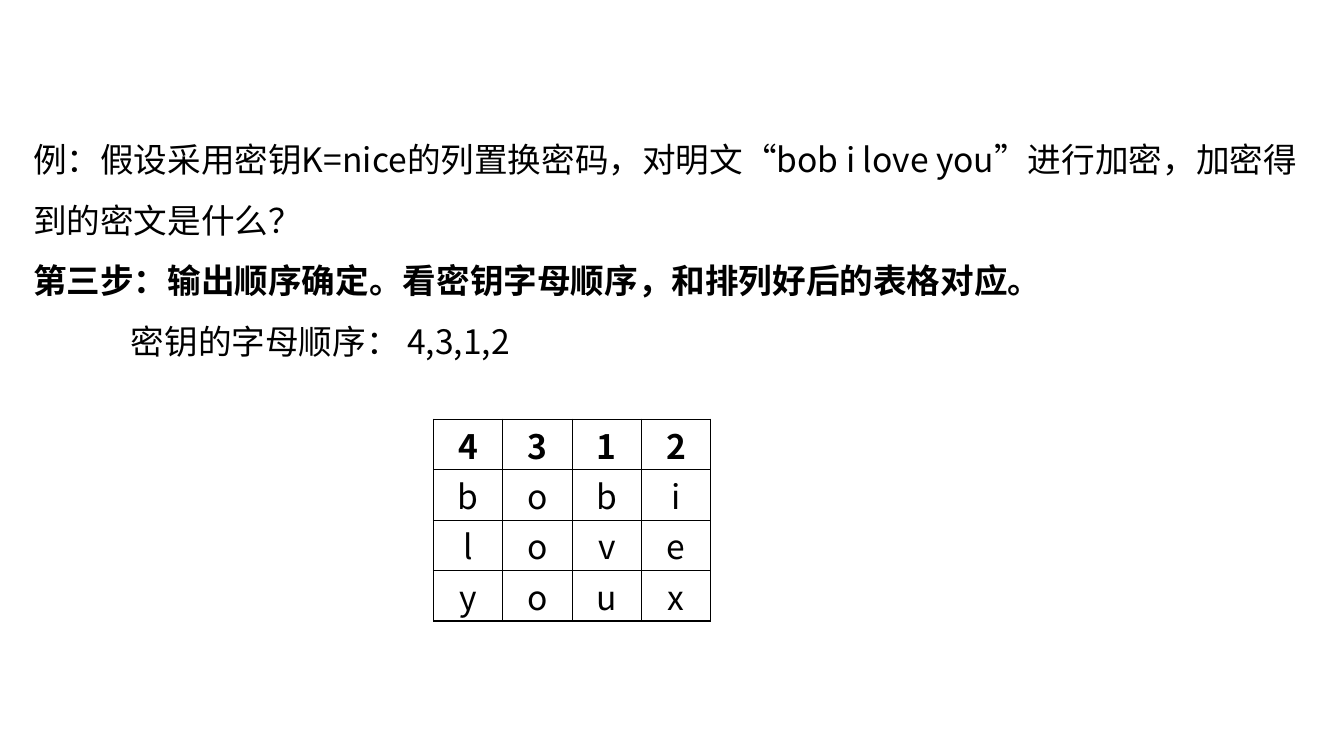
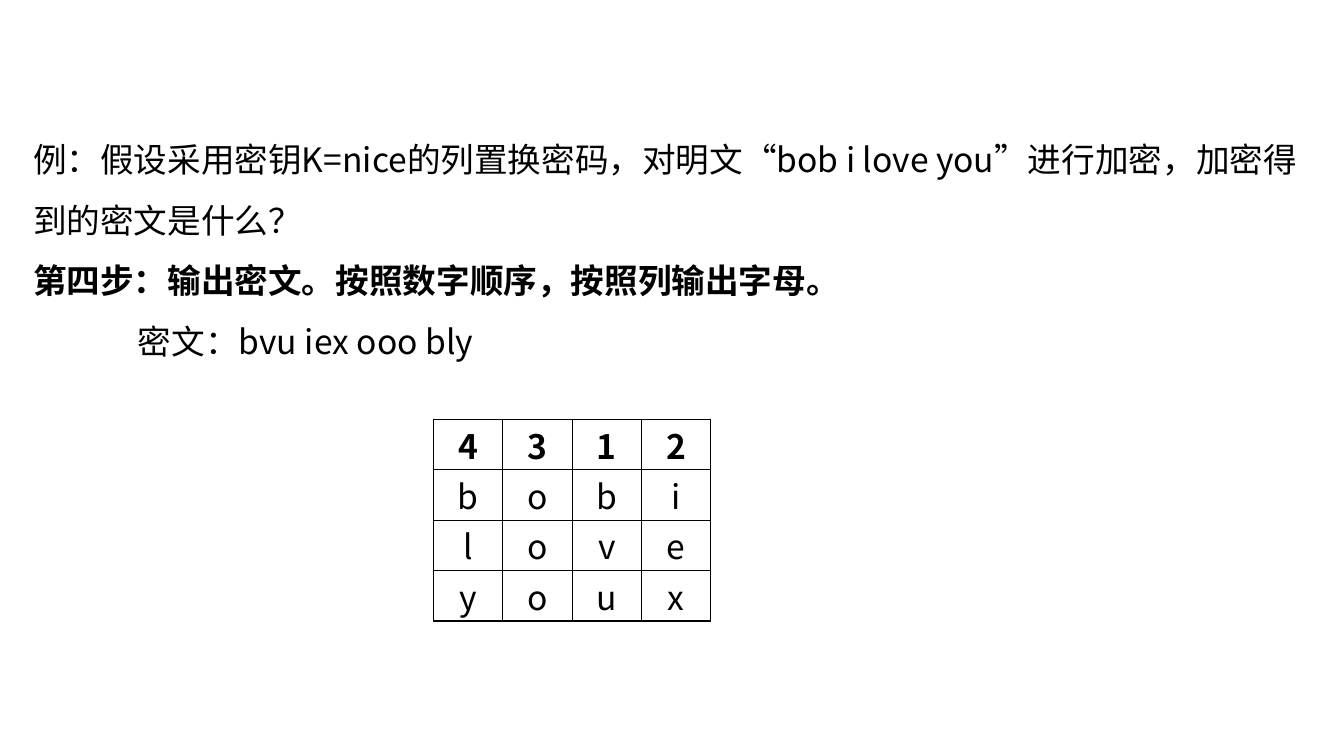
import pptx
import pptx.dml.color
import pptx.enum.text
import pptx.oxml
import pptx.oxml.ns
import pptx.util
from dataclasses import dataclass
from lxml import etree
from pptx.util import Inches


@dataclass(frozen=True)
class Theme:
    font: str = "Noto Sans CJK SC"
    size: int = 24
    ink: str = "000000"
    line_spacing: float = 1.5
    border: float = 1


THEME = Theme()

# Wording shared by both steps
QUESTION = "例：假设采用密钥K=nice的列置换密码，对明文“bob i love you”进行加密，加密得到的密文是什么？"
CIPHER_GRID = ["4312", "bobi", "love", "youx"]

# Each step: heading, result, indent of the result in inches
STEPS = [
    ("第三步：输出顺序确定。看密钥字母顺序，和排列好后的表格对应。",
     "密钥的字母顺序： 4,3,1,2", 0.97),
    ("第四步：输出密文。按照数字顺序，按照列输出字母。",
     "密文：bvu iex ooo bly", 1.04),
]


def write(paragraph, text, bold=False):
    """Put text in a paragraph in the deck's type style."""
    paragraph.text = text
    for run in paragraph.runs:
        run.font.name = THEME.font
        run.font.size = pptx.util.Pt(THEME.size)
        run.font.bold = bold
        run.font.color.rgb = pptx.dml.color.RGBColor.from_string(THEME.ink)
        east_asian = etree.SubElement(run.font._element, pptx.oxml.ns.qn("a:ea"))
        east_asian.set("typeface", THEME.font)


def add_explanation(slide, heading, result, indent):
    """Question, step heading and indented result."""
    box = slide.shapes.add_textbox(Inches(0.23), Inches(1.13), Inches(12.81), Inches(2.52))
    frame = box.text_frame
    frame.word_wrap = True
    frame.auto_size = pptx.enum.text.MSO_AUTO_SIZE.SHAPE_TO_FIT_TEXT
    lines = [(QUESTION, False, 0), (heading, True, 0), (result, False, indent)]
    for index, (text, bold, left) in enumerate(lines):
        paragraph = frame.add_paragraph() if index else frame.paragraphs[0]
        paragraph.line_spacing = THEME.line_spacing
        if left:
            properties = paragraph._p.get_or_add_pPr()
            properties.set("marL", str(Inches(left)))
            properties.set("indent", "0")
        write(paragraph, text, bold)


def add_borders(cell):
    """Draw a thin line on all four sides of a cell."""
    properties = cell._tc.get_or_add_tcPr()
    for side in ("lnL", "lnR", "lnT", "lnB"):
        properties.append(pptx.oxml.parse_xml(
            f'<a:{side} {pptx.oxml.ns.nsdecls("a")} w="{pptx.util.Pt(THEME.border)}">'
            f'<a:solidFill><a:srgbClr val="{THEME.ink}"/></a:solidFill></a:{side}>'))


def add_cipher_table(slide):
    """Key order in the first row, plaintext letters below."""
    table = slide.shapes.add_table(
        len(CIPHER_GRID), len(CIPHER_GRID[0]),
        Inches(4.3), Inches(4.16), Inches(2.75), Inches(2)).table
    table.first_row = False
    table.horz_banding = False
    for row, letters in enumerate(CIPHER_GRID):
        for column, letter in enumerate(letters):
            cell = table.cell(row, column)
            add_borders(cell)
            cell.fill.background()
            cell.margin_top = cell.margin_bottom = 0
            cell.vertical_anchor = pptx.enum.text.MSO_ANCHOR.MIDDLE
            paragraph = cell.text_frame.paragraphs[0]
            paragraph.alignment = pptx.enum.text.PP_ALIGN.CENTER
            write(paragraph, letter, bold=row == 0)


def main():
    deck = pptx.Presentation()
    deck.slide_width = Inches(13.33)
    deck.slide_height = Inches(7.5)
    blank = deck.slide_layouts[6]
    for heading, result, indent in STEPS:
        slide = deck.slides.add_slide(blank)
        add_explanation(slide, heading, result, indent)
        add_cipher_table(slide)
    deck.save("out.pptx")


if __name__ == "__main__":
    main()
